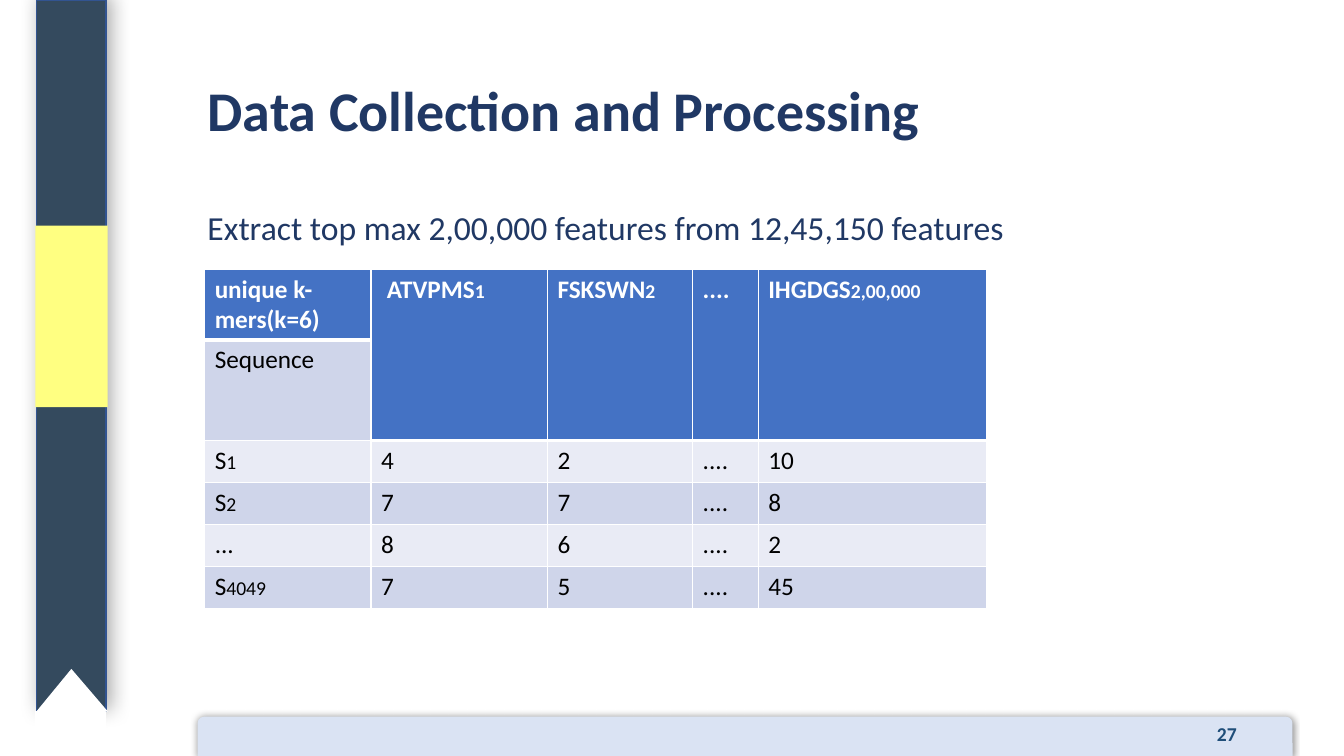
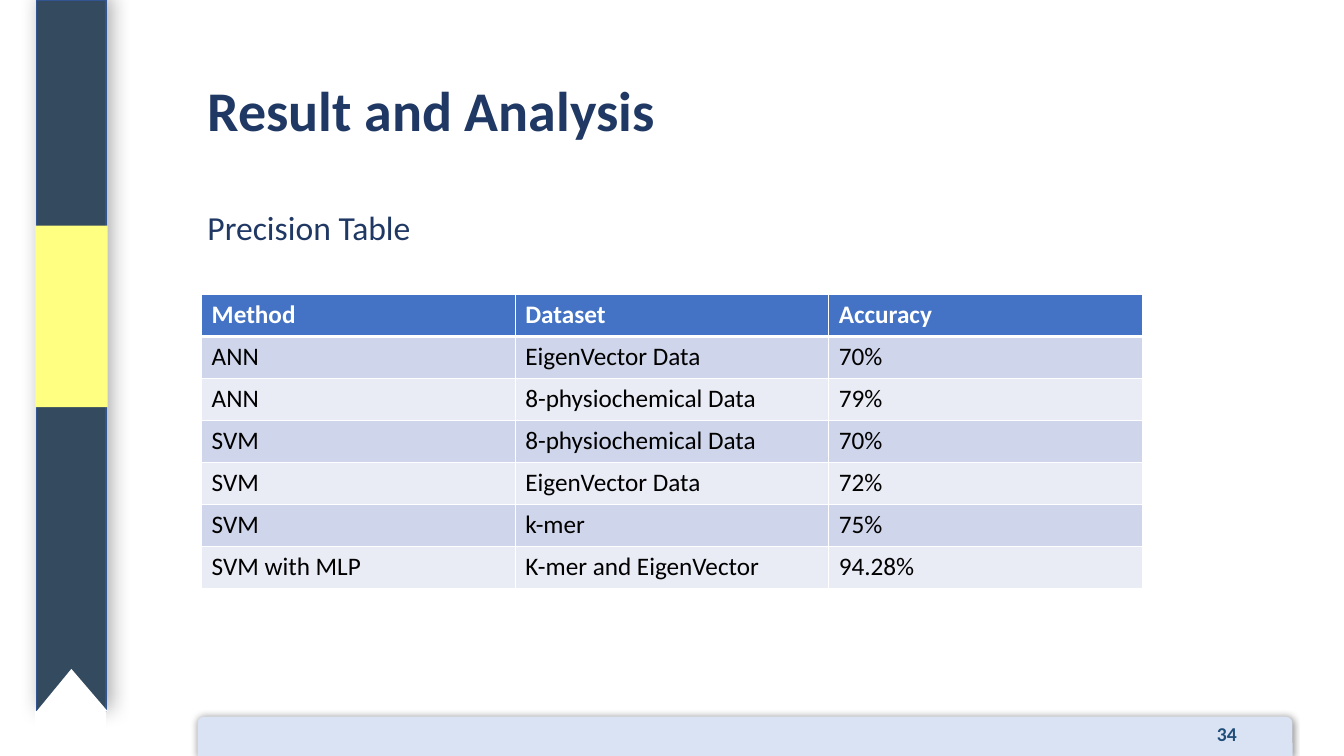
from lxml.etree import SubElement
from pptx import Presentation
from pptx.dml.color import RGBColor
from pptx.enum.shapes import MSO_SHAPE
from pptx.enum.text import MSO_ANCHOR, MSO_AUTO_SIZE, PP_ALIGN
from pptx.oxml import parse_xml
from pptx.oxml.ns import nsdecls, qn
from pptx.util import Inches, Pt

# Shared look
FONT = "Calibri"
WHITE = RGBColor(0xFF, 0xFF, 0xFF)
BLACK = RGBColor(0, 0, 0)
NAVY = RGBColor(0x20, 0x38, 0x64)
SLATE = RGBColor(0x34, 0x4A, 0x5E)
EDGE = RGBColor(0x32, 0x54, 0x91)
YELLOW = RGBColor(0xFF, 0xFF, 0x81)
PALE = RGBColor(0xDA, 0xE3, 0xF3)
NUMBER = RGBColor(0x1F, 0x4E, 0x79)
HEADER = RGBColor(0x44, 0x72, 0xC4)
BANDS = (RGBColor(0xCF, 0xD5, 0xEA), RGBColor(0xE9, 0xEB, 0xF5))

# Regions: left, top, width, height in inches
RIBBON = (0.36, 0, 0.69, 7.06)
TITLE = (1.96, 0.4, 10.84, 1.45)
SUBTITLE = (1.96, 2, 10.84, 0.56)
FOOTER = (1.96, 7.11, 10.86, 0.39)
ROW = 0.417


def box(*lengths):
    return [Inches(v) for v in lengths]


def line_xml(tag, color, width):
    return parse_xml(
        f'<a:{tag} {nsdecls("a")} w="{Pt(width)}"><a:solidFill>'
        f'<a:srgbClr val="{color}"/></a:solidFill></a:{tag}>')


def style(r, size, color, bold=False):
    r.font.name, r.font.size, r.font.bold = FONT, Pt(size), bold
    r.font.color.rgb = color


def add_block(s, kind, at, fill, line=None):
    sp = s.shapes.add_shape(kind, *box(*at))
    sp.shadow.inherit = False
    sp.fill.solid()
    sp.fill.fore_color.rgb = fill
    if line is None:
        sp.line.fill.background()
    else:
        sp.line.color.rgb = line
        sp.line.width = Pt(1)
    return sp


def add_shadow(sp, blur, dist, angle, alpha):
    effects = sp._element.spPr.find(qn("a:effectLst"))
    shadow = SubElement(effects, qn("a:outerShdw"), blurRad=str(Pt(blur)),
                        dist=str(Pt(dist)), dir=str(angle * 60000))
    color = SubElement(shadow, qn("a:srgbClr"), val=str(BLACK))
    SubElement(color, qn("a:alpha"), val=str(alpha * 1000))


def add_text(s, at, text, size, color, bold=False, align=PP_ALIGN.LEFT):
    tf = s.shapes.add_textbox(*box(*at)).text_frame
    tf.word_wrap = True
    p = tf.paragraphs[0]
    p.text, p.alignment = text, align
    style(p.runs[0], size, color, bold)
    return tf


def add_ribbon(s, x, y, w, h):
    band = add_block(s, MSO_SHAPE.RECTANGLE, (x, y, w, h), SLATE, EDGE)
    add_shadow(band, 14, 4, 315, 33)
    # Swallowtail notch and the clear end below it
    notch = add_block(s, MSO_SHAPE.ISOSCELES_TRIANGLE,
                      (x, y + 0.94 * h, 1.03 * w, 0.06 * h), WHITE)
    notch.adjustments[0] = 0.49
    add_block(s, MSO_SHAPE.RECTANGLE, (x - 0.01, y + h, w, 0.06 * h), WHITE, WHITE)
    # Yellow label
    add_block(s, MSO_SHAPE.RECTANGLE,
              (x - 0.01, y + 0.317 * h, 1.04 * w, 0.255 * h), YELLOW)


def add_footer(s, x, y, w, h, number):
    bar = add_block(s, MSO_SHAPE.ROUND_2_SAME_RECTANGLE, (x, y, w, h), PALE)
    add_shadow(bar, 5, 0, 0, 40)
    add_text(s, (x + 0.88 * w, y, 0.12 * w, h), number, 14, NUMBER, True,
             PP_ALIGN.CENTER)


def add_title(s, at, text):
    sp = s.shapes.title
    sp.left, sp.top, sp.width, sp.height = box(*at)
    tf = sp.text_frame
    tf.text = text
    tf.word_wrap, tf.auto_size = True, MSO_AUTO_SIZE.NONE
    tf.vertical_anchor = MSO_ANCHOR.MIDDLE
    p = tf.paragraphs[0]
    p.alignment, p.line_spacing = PP_ALIGN.LEFT, 0.9
    r = p.runs[0]
    style(r, 40, NAVY, True)
    r._r.get_or_add_rPr().insert(0, line_xml("ln", NAVY, 0.75))


def add_subtitle(s, at, text):
    tf = add_text(s, at, text, 24, NAVY)
    tf.margin_left = tf.margin_right = Inches(0.1)
    tf.margin_top = tf.margin_bottom = Inches(0.1)
    tf.paragraphs[0].line_spacing = 0.9


def format_cell(cell, text, heading, fill):
    """Text after a bar is set smaller, as an index."""
    cell.fill.solid()
    cell.fill.fore_color.rgb = fill
    p = cell.text_frame.paragraphs[0]
    base, _, index = text.partition("|")
    for part, size in ((base, 18), (index, 14)):
        if part:
            r = p.add_run()
            r.text = part
            style(r, size, WHITE if heading else BLACK, heading)
    tcPr = cell._tc.get_or_add_tcPr()
    sides = {"lnL": 1, "lnR": 1, "lnB": 3 if heading else 1}
    for i, (tag, width) in enumerate(sides.items()):
        tcPr.insert(i, line_xml(tag, WHITE, width))


def add_grid(s, x, y, cols, heights, rows, tall_heads=False):
    """Banded table; tall_heads spans all headings but the first over two rows."""
    t = s.shapes.add_table(len(rows), len(cols),
                           *box(x, y, sum(cols), sum(heights))).table
    for col, w in zip(t.columns, cols):
        col.width = Inches(w)
    for row, h in zip(t.rows, heights):
        row.height = Inches(h)
    for i, texts in enumerate(rows):
        for j, text in enumerate(texts):
            heading = i == 0 or (tall_heads and i == 1 and j > 0)
            fill = HEADER if heading else BANDS[(i - 1) % 2]
            format_cell(t.cell(i, j), text, heading, fill)
    if tall_heads:
        for j in range(1, len(cols)):
            t.cell(0, j).merge(t.cell(1, j))


def add_page(prs, title, subtitle, number, grid):
    s = prs.slides.add_slide(prs.slide_layouts[5])
    add_ribbon(s, *RIBBON)
    add_footer(s, *FOOTER, number)
    add_title(s, TITLE, title)
    add_subtitle(s, SUBTITLE, subtitle)
    add_grid(s, **grid)


FEATURES = dict(
    x=2.03, y=2.67, cols=[1.65, 1.75, 1.44, 0.65, 2.27],
    heights=[0.7, 1] + [ROW] * 4, tall_heads=True,
    rows=[
        ("unique k-mers(k=6)", " ATVPMS|1", "FSKSWN|2", "....", "IHGDGS|2,00,000"),
        ("Sequence", "", "", "", ""),
        ("S|1", "4", "2", "....", "10"),
        ("S|2", "7", "7", "....", "8"),
        ("...", "8", "6", "....", "2"),
        ("S|4049", "7", "5", "....", "45"),
    ])
PRECISION = dict(
    x=2, y=2.92, cols=[3.11] * 3, heights=[ROW] * 7,
    rows=[
        ("Method", "Dataset", "Accuracy"),
        ("ANN", "EigenVector Data", "70%"),
        ("ANN", "8-physiochemical Data", "79%"),
        ("SVM", "8-physiochemical Data", "70%"),
        ("SVM", "EigenVector Data", "72%"),
        ("SVM", "k-mer", "75%"),
        ("SVM with MLP", "K-mer and EigenVector", "94.28%"),
    ])


def main():
    prs = Presentation()
    prs.slide_width, prs.slide_height = box(13.33, 7.5)
    add_page(prs, "Data Collection and Processing",
             "Extract top max 2,00,000 features from 12,45,150 features",
             "27", FEATURES)
    add_page(prs, "Result and Analysis", "Precision Table", "34", PRECISION)
    prs.save("out.pptx")


if __name__ == "__main__":
    main()
